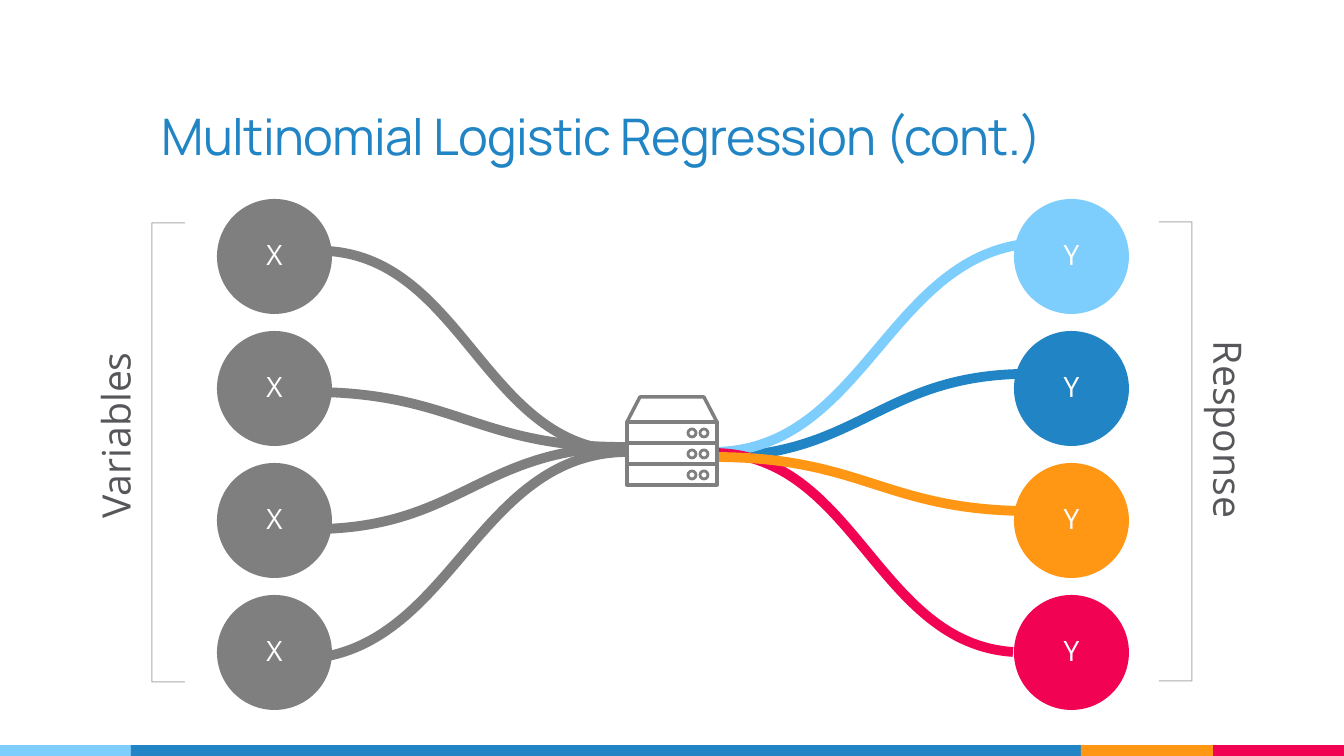
from lxml import etree
from pptx import Presentation
from pptx import util as u
from pptx.dml.color import RGBColor
from pptx.enum import shapes, text
from pptx.oxml.ns import qn

# Content: places in px
TITLE = "Multinomial Logistic Regression (cont.)"
STRIPE = [("sky", 131), ("blue", 950), ("orange", 132), ("red", 131)]
CIRCLE_COLUMNS = [
    ("X", 217, ["gray"] * 4),
    ("Y", 1014, ["sky", "blue", "orange", "red"]),
]
# colour, end at the circle, end at the server
CURVES = [
    ("gray", (323, 529), (626, 447)),
    ("gray", (306, 659), (626, 452)),
    ("gray", (328, 251), (626, 451)),
    ("gray", (317, 392), (620, 447)),
    ("blue", (1018, 374), (715, 457)),
    ("sky", (1035, 243), (715, 452)),
    ("red", (1013, 652), (715, 453)),
    ("orange", (1024, 511), (718, 457)),
]
# label, label box, rotation, bracket tip x, bracket spine x, top, bottom
SIDES = [
    ("Variables", (-1, 407, 232, 57), 270, 185, 152, 223, 682),
    ("Response", (1113, 401, 232, 57), 90, 1159, 1192, 222, 681),
]


class Theme:
    colors = dict(sky="7ECEFD", blue="2185C5", orange="FF9715", red="F20253",
                  gray="7F7F7F", ink="57565A", white="FFFFFF")
    heading, body = "Manrope", "Open Sans"
    title_size, label_size, circle_size = 36, 28, 20
    curve_width, bracket_width, server_width, light_width = 7, 0.75, 2.5, 2


SLIDE_W, SLIDE_H = 1344, 756
EMU = u.Inches(1) / 100.8
CIRCLE_TOP, CIRCLE_STEP, CIRCLE_SIZE = 199, 132, 115
STRIPE_H = 11
SHAPE = shapes.MSO_SHAPE

deck = Presentation()
deck.slide_width, deck.slide_height = round(SLIDE_W * EMU), round(SLIDE_H * EMU)
slide = deck.slides.add_slide(deck.slide_layouts[6])


def px(*lengths):
    return [round(length * EMU) for length in lengths]


def rgb(color):
    return RGBColor.from_string(Theme.colors[color])


def paint(part, fill=None, line=None, width=1):
    part.shadow.inherit = False
    if fill:
        part.fill.solid()
        part.fill.fore_color.rgb = rgb(fill)
    else:
        part.fill.background()
    if line:
        part.line.color.rgb = rgb(line)
        part.line.width = u.Pt(width)
    else:
        part.line.fill.background()
    return part


def draw(preset, box, **look):
    return paint(slide.shapes.add_shape(preset, *px(*box)), **look)


def outline(points, close=False, **look):
    builder = slide.shapes.build_freeform(*points[0], scale=EMU)
    builder.add_line_segments(points[1:], close=close)
    return paint(builder.convert_to_shape(), **look)


def write(part, words, size, color, font=Theme.body, align=text.PP_ALIGN.CENTER,
          anchor=text.MSO_ANCHOR.TOP, inset=(10, 5), wrap=True, leading=None,
          tracking=None):
    frame = part.text_frame
    frame.word_wrap, frame.vertical_anchor = wrap, anchor
    frame.margin_left = frame.margin_right = px(inset[0])[0]
    frame.margin_top = frame.margin_bottom = px(inset[1])[0]
    line = frame.paragraphs[0]
    line.alignment = align
    if leading:
        line.line_spacing = leading
    run = line.add_run()
    run.text = words
    run.font.name, run.font.size = font, u.Pt(size)
    run.font.color.rgb = rgb(color)
    if tracking:
        run.font._element.set("spc", str(tracking))


def curve(color, start, end):
    """Draw one cubic S-curve from a circle to the server."""
    dx, dy = end[0] - start[0], end[1] - start[1]
    bends = [(round(start[0] + fx * dx), round(start[1] + fy * dy))
             for fx, fy in ((0.455, 0.045), (0.53, 0.99))]
    strand = outline([start, *bends, end], line=color, width=Theme.curve_width)
    track = strand._element.find(".//" + qn("a:path"))
    segments = track.findall(qn("a:lnTo"))
    bezier = etree.SubElement(track, qn("a:cubicBezTo"))
    for segment in segments:
        bezier.append(segment[0])
        track.remove(segment)


# Stripe along the bottom
left = 0
for color, width in STRIPE:
    draw(SHAPE.RECTANGLE, (left, SLIDE_H - STRIPE_H, width, STRIPE_H), fill=color)
    left += width

# Title
write(slide.shapes.add_textbox(*px(152, 74, 923, 102)), TITLE, Theme.title_size,
      "blue", font=Theme.heading, align=text.PP_ALIGN.LEFT,
      anchor=text.MSO_ANCHOR.BOTTOM, inset=(10, 10), tracking=-50)

# Side labels and half-transparent brackets
for label, box, turn, tip, spine, top, bottom in SIDES:
    bracket = outline([(tip, bottom), (spine, bottom), (spine, top), (tip, top)],
                      line="ink", width=Theme.bracket_width)
    ink = bracket.line._ln.find(".//" + qn("a:srgbClr"))
    etree.SubElement(ink, qn("a:alpha")).set("val", "50000")
    caption = slide.shapes.add_textbox(*px(*box))
    caption.rotation = turn
    write(caption, label, Theme.label_size, "ink")

# Circles
for letter, left, colors in CIRCLE_COLUMNS:
    for row, color in enumerate(colors):
        top = CIRCLE_TOP + row * CIRCLE_STEP
        circle = draw(SHAPE.OVAL, (left, top, CIRCLE_SIZE, CIRCLE_SIZE), fill=color)
        write(circle, letter, Theme.circle_size, "white", wrap=False, leading=0.9,
              anchor=text.MSO_ANCHOR.MIDDLE, inset=(30, 30))

# Curves
for strand in CURVES:
    curve(*strand)

# Server: white backing, lid, three bays with two lights each
draw(SHAPE.OVAL, (626, 372, 93, 151), fill="white")
outline([(640, 397), (704, 397), (717, 422), (627, 422)], close=True,
        line="gray", width=Theme.server_width)
BAY_TOP, BAY_H, LIGHT = 422, 21, 8
for bay in range(3):
    top = BAY_TOP + bay * BAY_H
    draw(SHAPE.RECTANGLE, (627, top, 90, BAY_H), line="gray",
         width=Theme.server_width)
    for left in (688, 700):
        draw(SHAPE.OVAL, (left, top + 7, LIGHT, LIGHT), line="gray",
             width=Theme.light_width)

deck.save("out.pptx")
